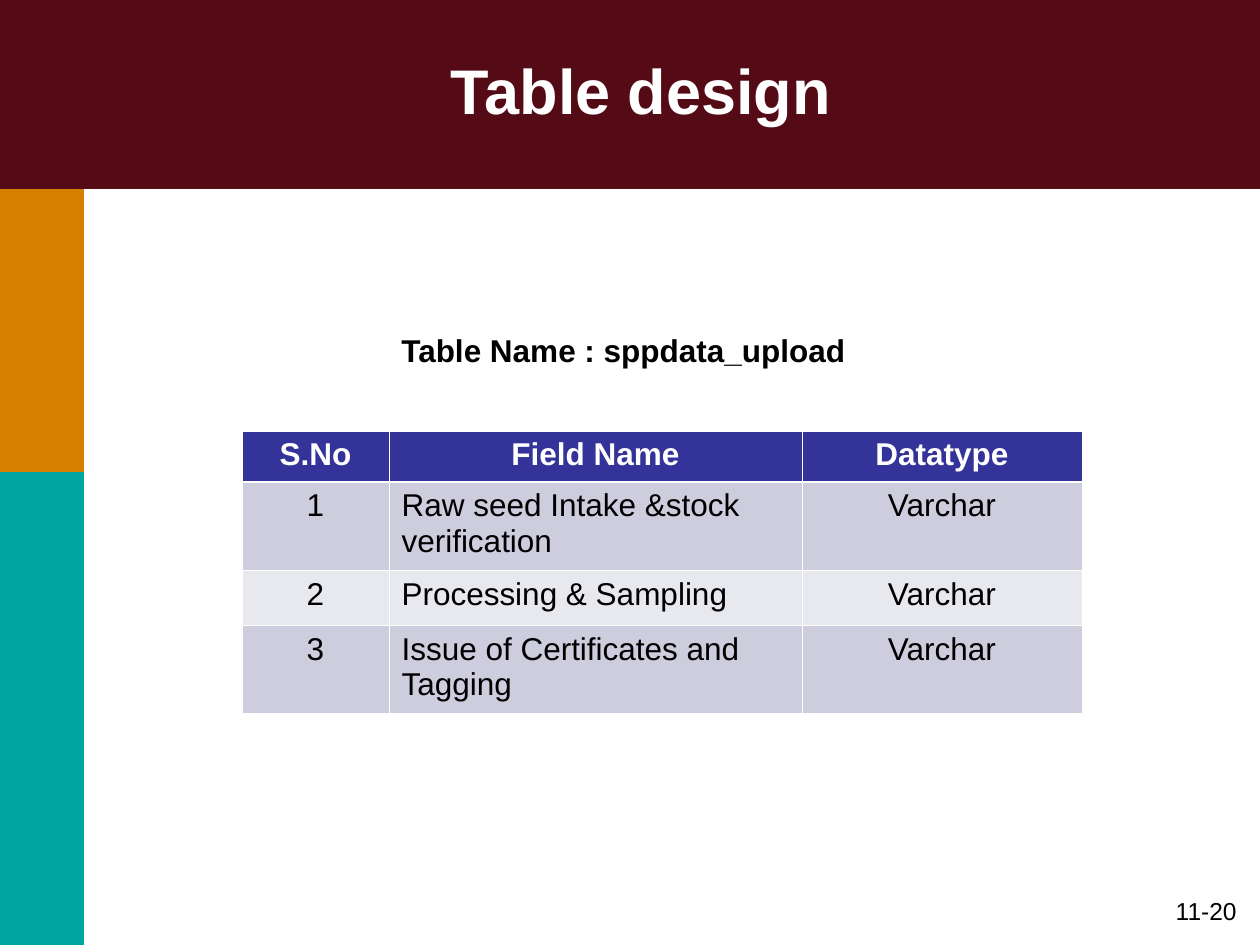
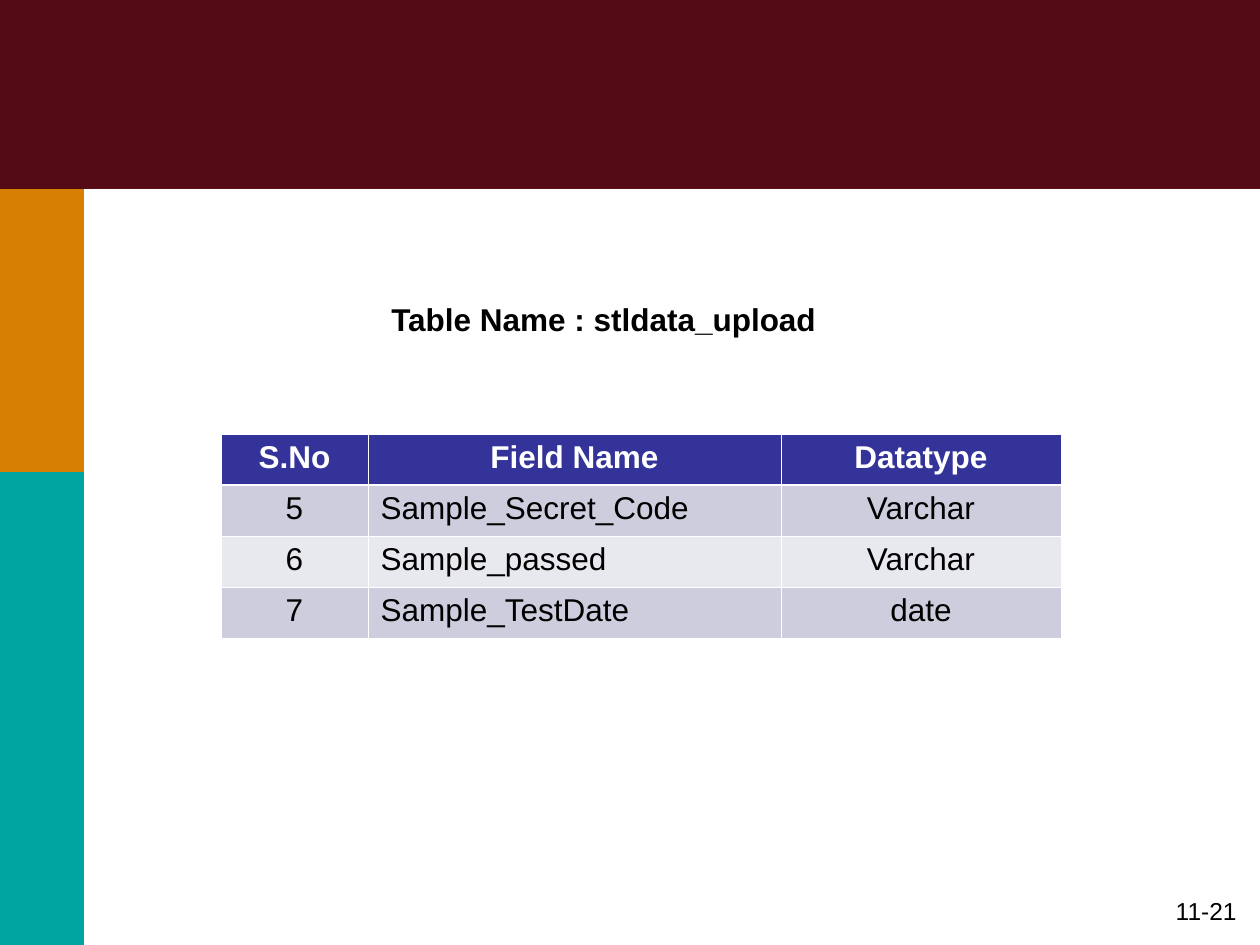
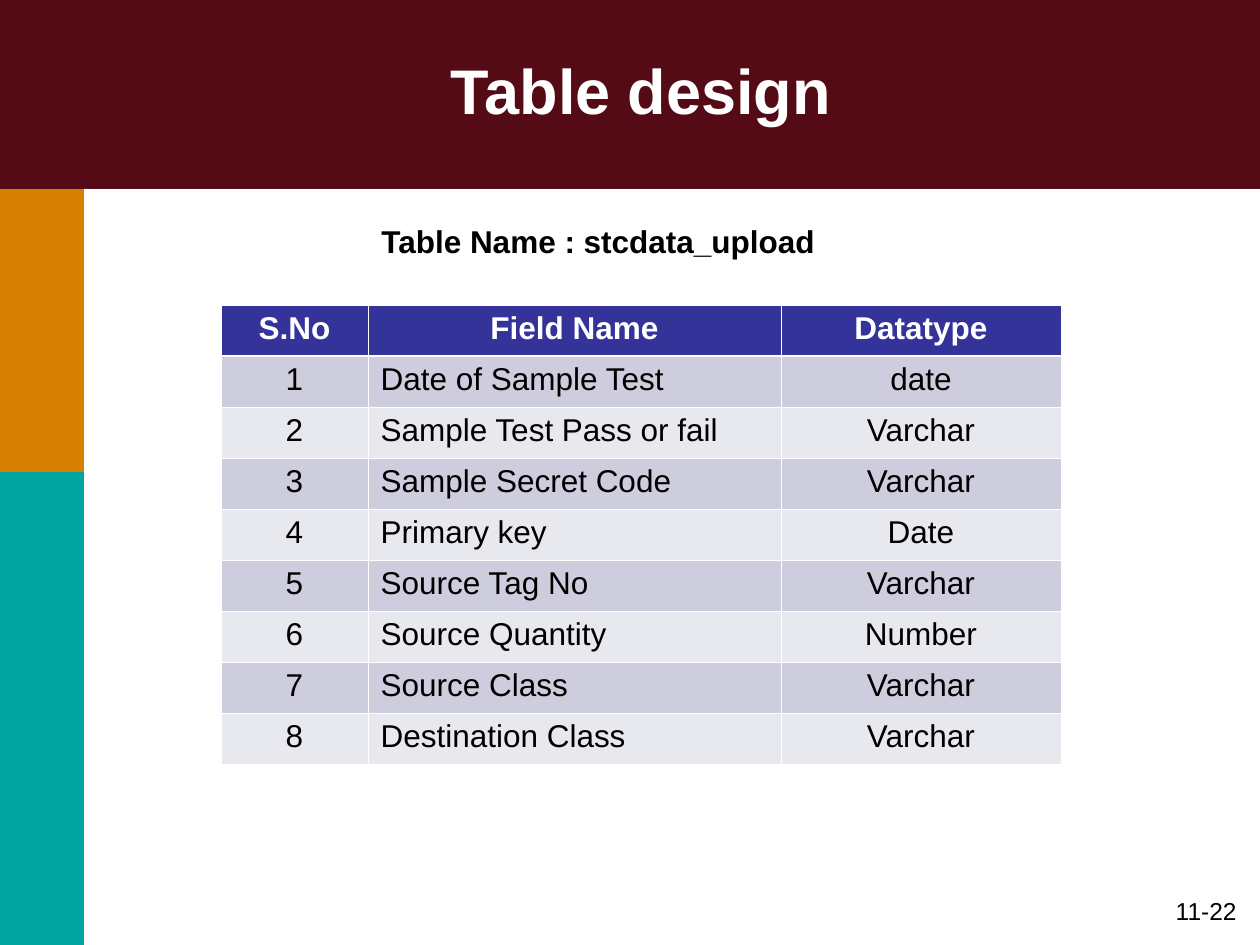
from dataclasses import dataclass

from lxml import etree
from pptx import Presentation
from pptx import util as u
from pptx.dml.color import RGBColor
from pptx.enum import shapes, text
from pptx.oxml.ns import qn

# Content
HEADER = ("S.No", "Field Name", "Datatype")
FIRST_PAGE = 20
PAGES = [
    {
        "title": "Table design",
        "heading": "Table Name : sppdata_upload",
        "heading_box": (389, 325, 471, 50),
        "table_at": (242, 431),
        "row_heights": (51, 88, 55, 88),
        "rows": [
            ("1", "Raw seed Intake &stock verification", "Varchar"),
            ("2", "Processing & Sampling", "Varchar"),
            ("3", "Issue of Certificates and Tagging", "Varchar"),
        ],
    },
    {
        "title": None,
        "heading": "Table Name : stldata_upload",
        "heading_box": (379, 294, 452, 50),
        "table_at": (221, 434),
        "row_heights": (51,) * 4,
        "rows": [
            ("5", "Sample_Secret_Code", "Varchar"),
            ("6", "Sample_passed", "Varchar"),
            ("7", "Sample_TestDate", "date"),
        ],
    },
    {
        "title": "Table design",
        "heading": "Table Name : stcdata_upload",
        "heading_box": (369, 216, 461, 50),
        "table_at": (221, 305),
        "row_heights": (51,) * 9,
        "rows": [
            ("1", "Date of Sample Test", "date"),
            ("2", "Sample Test Pass or fail", "Varchar"),
            ("3", "Sample Secret Code", "Varchar"),
            ("4", "Primary key", "Date"),
            ("5", "Source Tag No", "Varchar"),
            ("6", "Source Quantity", "Number"),
            ("7", "Source Class", "Varchar"),
            ("8", "Destination Class", "Varchar"),
        ],
    },
]


@dataclass(frozen=True)
class Theme:
    font: str = "Arial"
    background: str = "003366"
    white: str = "FFFFFF"
    ink: str = "000000"
    band: str = "6C0000"
    orange: str = "D67F00"
    teal: str = "00A4A0"
    header: str = "333399"
    stripes: tuple = ("CDCDDE", "E8E8EF")
    title_size: int = 36
    body_size: int = 18
    footer_size: int = 14
    thin_line: float = 0.45
    header_line: float = 1.47


THEME = Theme()
LEFT, CENTER, RIGHT = text.PP_ALIGN.LEFT, text.PP_ALIGN.CENTER, text.PP_ALIGN.RIGHT

# Layout in px
PX_PER_INCH = 126
SLIDE_SIZE = (1260, 945)
TITLE_BOX = (53, 0, 1176, 179)
NUMBER_BOX = (955, 890, 294, 65)
COLUMN_WIDTHS = (147, 413, 280)
COLUMN_ALIGNS = (CENTER, LEFT, CENTER)
# box, colour, opacity in percent
PANELS = [
    ((84, 189, 1176, 756), THEME.white, 100),
    ((0, 0, 1260, 189), THEME.band, 78),
    ((0, 189, 84, 283), THEME.orange, 100),
    ((0, 472, 84, 473), THEME.teal, 100),
]


def px(length):
    return u.Emu(round(length * u.Inches(1) / PX_PER_INCH))


def paint(fill, color):
    fill.solid()
    fill.fore_color.rgb = RGBColor.from_string(color)


def write(frame, words, size, color, bold=False, align=LEFT):
    frame.text = words
    para = frame.paragraphs[0]
    para.alignment = align
    font = para.runs[0].font
    font.name, font.size, font.bold = THEME.font, u.Pt(size), bold
    font.color.rgb = RGBColor.from_string(color)


def add_panel(page, box, color, opacity):
    panel = page.shapes.add_shape(shapes.MSO_SHAPE.RECTANGLE, *map(px, box))
    panel.shadow.inherit = False
    panel.line.fill.background()
    paint(panel.fill, color)
    if opacity < 100:
        tint = panel.fill._xPr.find(".//" + qn("a:srgbClr"))
        etree.SubElement(tint, qn("a:alpha"), val=str(opacity * 1000))


def add_text(page, box, words, size, color, wrap=True, **style):
    frame = page.shapes.add_textbox(*map(px, box)).text_frame
    frame.word_wrap = wrap
    write(frame, words, size, color, **style)
    return frame


def add_borders(cell, top, bottom):
    widths = {"lnL": THEME.thin_line, "lnR": THEME.thin_line, "lnT": top, "lnB": bottom}
    properties = cell._tc.get_or_add_tcPr()
    for side, width in widths.items():
        line = etree.SubElement(properties, qn("a:" + side), w=str(u.Pt(width)))
        fill = etree.SubElement(line, qn("a:solidFill"))
        etree.SubElement(fill, qn("a:srgbClr"), val=THEME.white)


def add_field_table(page, corner, row_heights, rows):
    size = sum(COLUMN_WIDTHS), sum(row_heights)
    table = page.shapes.add_table(
        len(row_heights), len(COLUMN_WIDTHS), *map(px, corner + size)).table
    table.first_row = table.horz_banding = False
    for column, width in zip(table.columns, COLUMN_WIDTHS):
        column.width = px(width)
    for r, (row, height, values) in enumerate(zip(table.rows, row_heights, [HEADER] + rows)):
        row.height = px(height)
        is_header = r == 0
        background = THEME.header if is_header else THEME.stripes[(r - 1) % 2]
        color = THEME.white if is_header else THEME.ink
        top = THEME.header_line if r == 1 else THEME.thin_line
        bottom = THEME.header_line if is_header else THEME.thin_line
        for cell, value, align in zip(row.cells, values, COLUMN_ALIGNS):
            add_borders(cell, top, bottom)
            paint(cell.fill, background)
            write(cell.text_frame, value, THEME.body_size, color,
                  bold=is_header, align=CENTER if is_header else align)


def add_page(deck, number, content):
    page = deck.slides.add_slide(deck.slide_layouts[6])
    # Shared bands, title and page number
    for panel in PANELS:
        add_panel(page, *panel)
    if content["title"]:
        title = add_text(page, TITLE_BOX, content["title"], THEME.title_size,
                         THEME.white, bold=True, align=CENTER)
        title.vertical_anchor = text.MSO_ANCHOR.MIDDLE
    add_text(page, NUMBER_BOX, f"11-{number}", THEME.footer_size, THEME.ink, align=RIGHT)
    # Table with its heading
    heading = add_text(page, content["heading_box"], content["heading"],
                       THEME.body_size, THEME.ink, wrap=False, bold=True)
    heading.auto_size = text.MSO_AUTO_SIZE.SHAPE_TO_FIT_TEXT
    add_field_table(page, content["table_at"], content["row_heights"], content["rows"])


def main():
    deck = Presentation()
    deck.slide_width, deck.slide_height = map(px, SLIDE_SIZE)
    paint(deck.slide_master.background.fill, THEME.background)
    for number, content in enumerate(PAGES, FIRST_PAGE):
        add_page(deck, number, content)
    deck.save("out.pptx")


if __name__ == "__main__":
    main()
